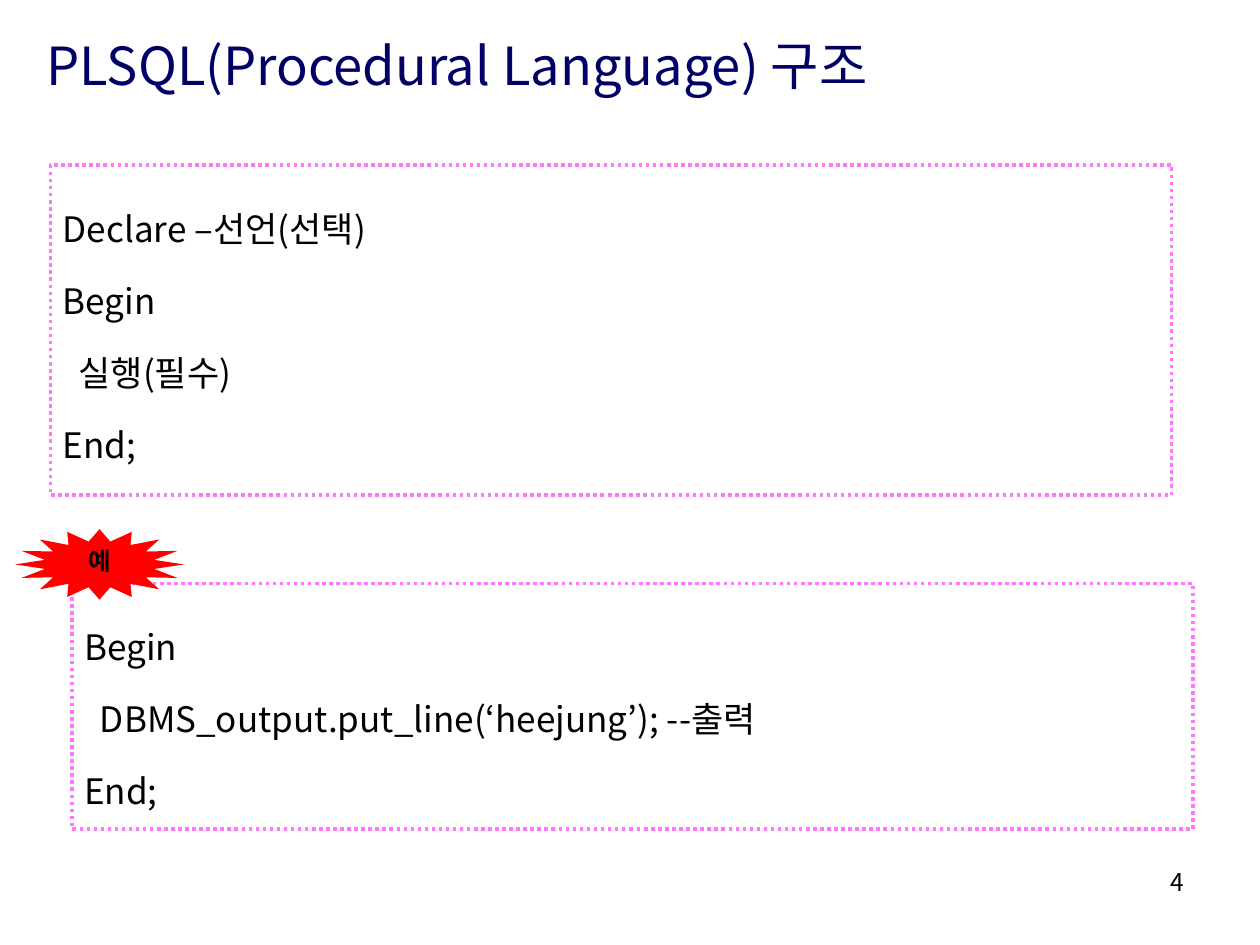
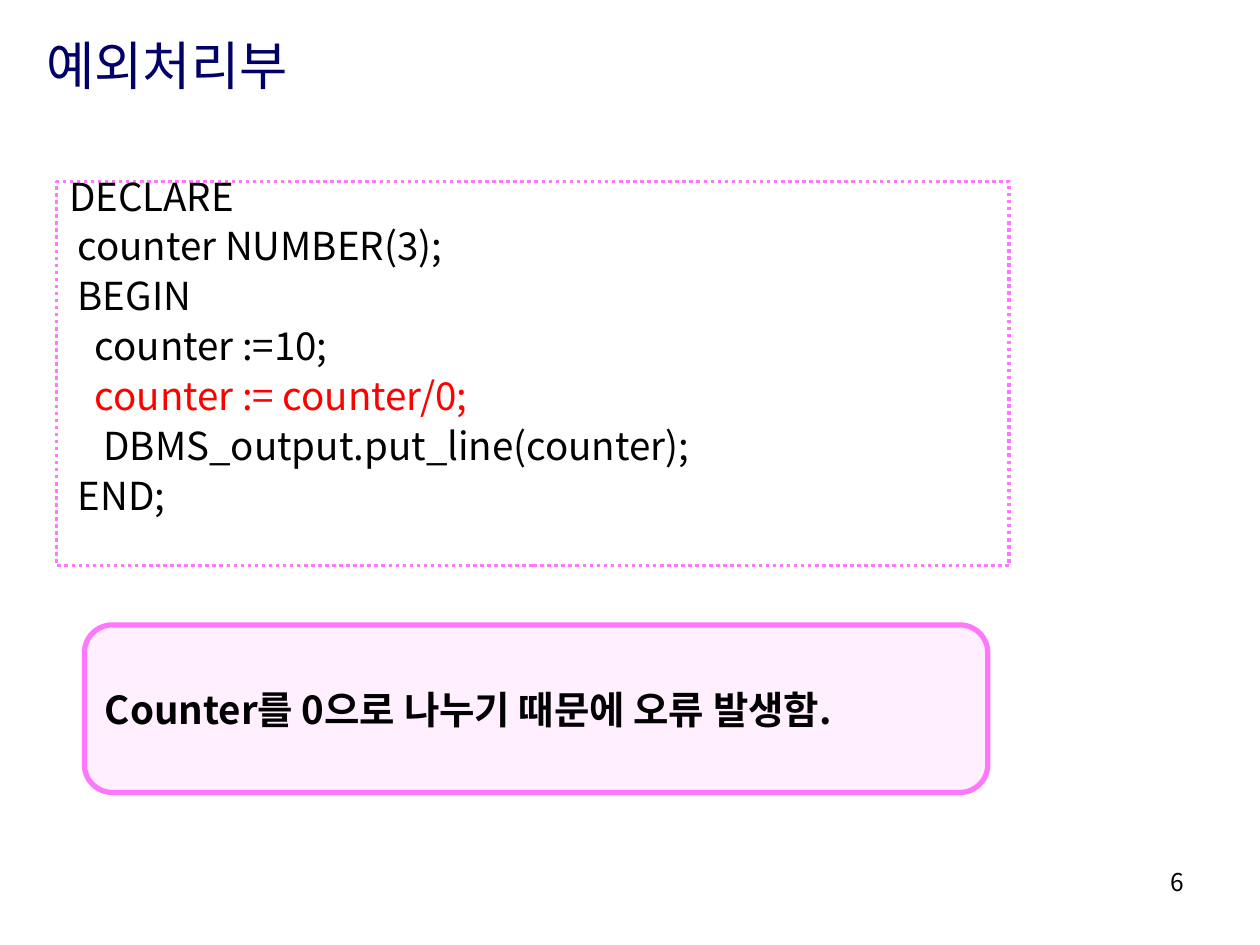
import pptx
import pptx.util
import pptx.dml.color
import pptx.enum.dml
import pptx.enum.shapes
import pptx.enum.text
import pptx.oxml.ns
import lxml.etree

Inches = pptx.util.Inches
Pt = pptx.util.Pt
RGBColor = pptx.dml.color.RGBColor
ALIGN = pptx.enum.text.PP_ALIGN
ANCHOR = pptx.enum.text.MSO_ANCHOR
SHAPE = pptx.enum.shapes.MSO_SHAPE

FONT = "Noto Sans CJK KR"
NAVY = RGBColor(0x00, 0x00, 0x66)
BLACK = RGBColor(0x00, 0x00, 0x00)
RED = RGBColor(0xFF, 0x00, 0x00)
PINK = RGBColor(0xFF, 0x77, 0xFC)
PALE_PINK = RGBColor(0xFF, 0xEF, 0xFF)


def write(sp, text, size=20, color=BLACK, bold=False, align=ALIGN.LEFT,
          anchor=ANCHOR.MIDDLE, top=0.05, spacing=1, before=0, marked=None):
    tf = sp.text_frame
    tf.word_wrap = True
    tf.vertical_anchor = anchor
    tf.margin_left = tf.margin_right = Inches(0.1)
    tf.margin_top, tf.margin_bottom = Inches(top), Inches(0.05)
    for i, line in enumerate(text.split("\n")):
        p = tf.add_paragraph() if i else tf.paragraphs[0]
        p.alignment = align
        p.line_spacing = spacing
        p.space_before = Pt(before if i else 0)
        r = p.add_run()
        r.text = line
        r.font.name = FONT
        r.font.size = Pt(size)
        r.font.bold = bold
        r.font.color.rgb = RED if i == marked else color
        ea = lxml.etree.SubElement(r.font._element, pptx.oxml.ns.qn("a:ea"))
        ea.set("typeface", FONT)


class Deck:
    def __init__(self):
        self.prs = pptx.Presentation()
        self.prs.slide_width = Inches(10)
        self.prs.slide_height = Inches(7.5)
        self.s = None

    def slide(self, title, number):
        self.s = self.prs.slides.add_slide(self.prs.slide_layouts[6])
        self.text(0.27, 0.21, 9.45, 0.61, title, size=30, color=NAVY)
        self.text(7.17, 6.83, 2.33, 0.52, str(number), size=14,
                  align=ALIGN.RIGHT, anchor=ANCHOR.TOP)

    def text(self, x, y, w, h, text, **style):
        sp = self.s.shapes.add_textbox(Inches(x), Inches(y), Inches(w), Inches(h))
        write(sp, text, **style)

    def shape(self, kind, x, y, w, h, fill=None, line=None, width=2):
        sp = self.s.shapes.add_shape(kind, Inches(x), Inches(y), Inches(w), Inches(h))
        sp.shadow.inherit = False
        if fill is None:
            sp.fill.background()
        else:
            sp.fill.solid()
            sp.fill.fore_color.rgb = fill
        if line is None:
            sp.line.fill.background()
        else:
            sp.line.color.rgb = line
            sp.line.width = Pt(width)
        return sp

    def code(self, x, y, w, h, text, **style):
        sp = self.shape(SHAPE.RECTANGLE, x, y, w, h, line=PINK)
        sp.line.dash_style = pptx.enum.dml.MSO_LINE.ROUND_DOT
        write(sp, text, anchor=ANCHOR.TOP, **style)

    def burst(self, x, y, w, h, text):
        sp = self.shape(SHAPE.STAR_16_POINT, x, y, w, h, fill=RED)
        sp.adjustments[0] = 0.33
        write(sp, text, size=14, bold=True, align=ALIGN.CENTER, spacing=0.7)

    def callout(self, x, y, w, h, text):
        sp = self.shape(SHAPE.FLOWCHART_ALTERNATE_PROCESS, x, y, w, h,
                        fill=PALE_PINK, line=PINK, width=3)
        write(sp, text, size=22, bold=True)


def main():
    deck = Deck()

    deck.slide("PLSQL(Procedural Language) 구조", 4)
    loose = dict(top=0.17, spacing=1.5, before=5.2)
    deck.code(0.4, 1.31, 8.9, 2.62,
              "Declare –선언(선택)\nBegin\n  실행(필수)\nEnd;", **loose)
    deck.code(0.57, 4.63, 8.9, 1.95,
              "Begin\n  DBMS_output.put_line(‘heejung’); --출력\nEnd;", **loose)
    deck.burst(0.12, 4.2, 1.34, 0.56, "예")

    deck.slide("예외처리부", 6)
    deck.code(0.45, 1.44, 7.56, 3.05,
              "DECLARE\n counter NUMBER(3);\n BEGIN\n   counter :=10;\n"
              "   counter := counter/0;\n    DBMS_output.put_line(counter);\n END;",
              size=22, top=0.03, spacing=0.7, before=10, marked=4)
    deck.callout(0.67, 4.96, 7.17, 1.33, "Counter를 0으로 나누기 때문에 오류 발생함.")

    deck.prs.save("out.pptx")


if __name__ == "__main__":
    main()
